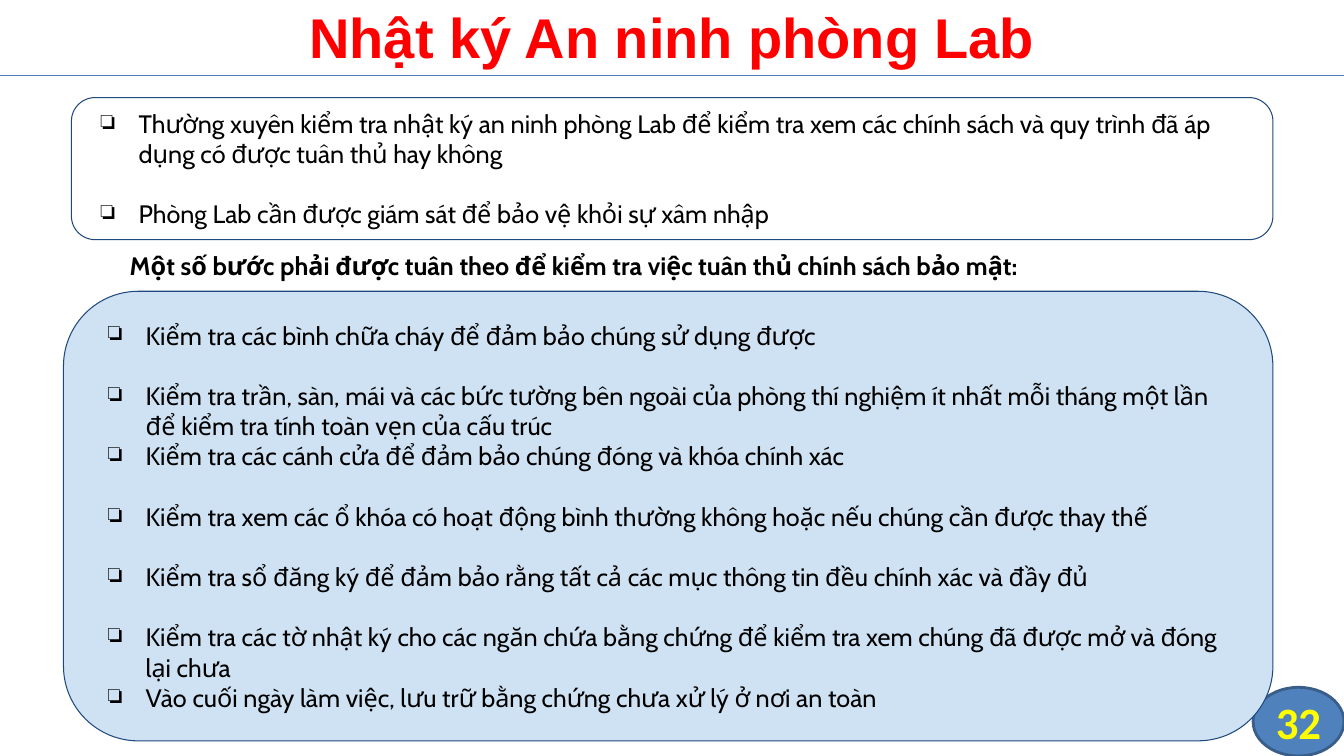
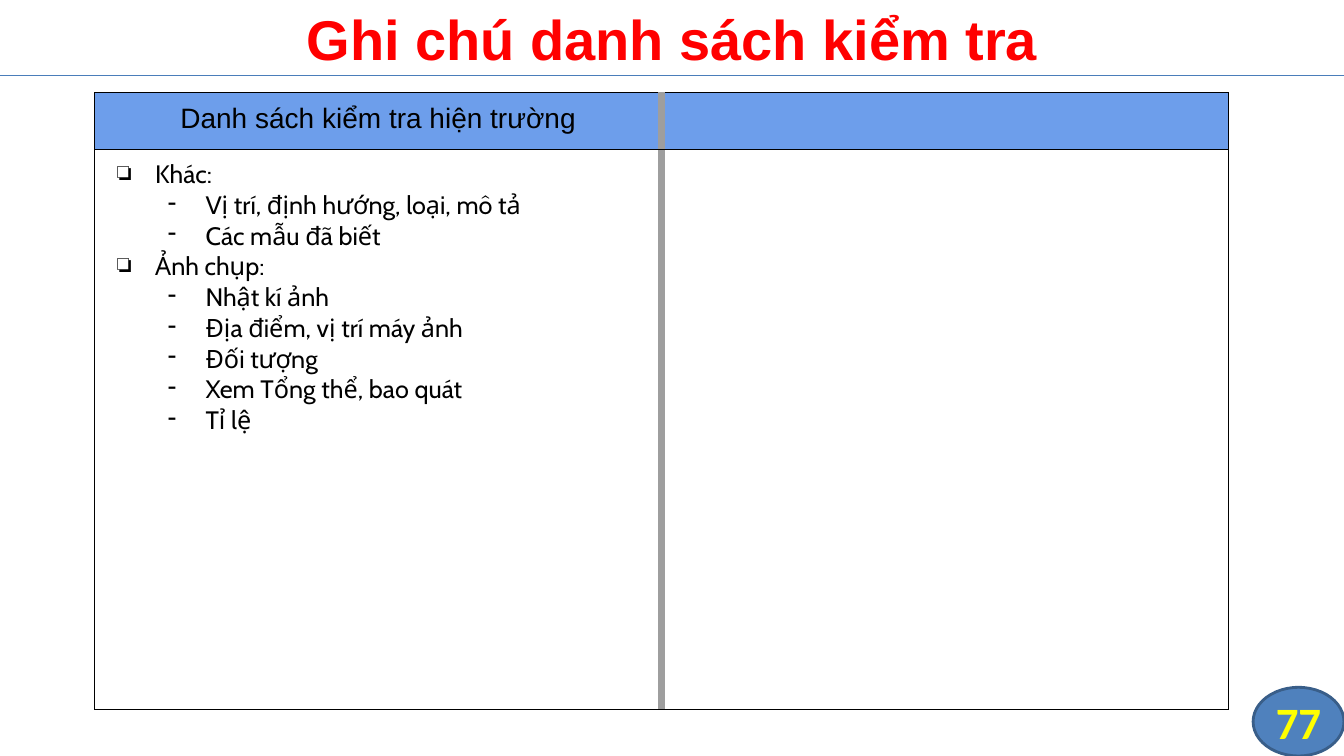
from lxml import etree
from pptx import Presentation
from pptx.dml.color import RGBColor
from pptx.enum.shapes import MSO_CONNECTOR, MSO_SHAPE
from pptx.enum.text import MSO_ANCHOR, PP_ALIGN
from pptx.oxml.ns import qn
from pptx.util import Cm, Pt

LEFT, CENTER = PP_ALIGN.LEFT, PP_ALIGN.CENTER
TOP, MIDDLE = MSO_ANCHOR.TOP, MSO_ANCHOR.MIDDLE
ROUNDED, BADGE = MSO_SHAPE.ROUNDED_RECTANGLE, MSO_SHAPE.FLOWCHART_CONNECTOR
STRAIGHT = MSO_CONNECTOR.STRAIGHT

COLORS = {
    "title": "FF0000",
    "text": "000000",
    "rule": "4A7DBA",
    "badge": "4F81BD",
    "badge_line": "395E89",
    "badge_text": "FFFF00",
    "panel_line": "1F497D",
    "white": "FFFFFF",
    "steps": "CFE2F3",
    "header": "6D9EEB",
    "divider": "9E9E9E",
}
TITLE_FONT, BODY_FONT, NUMBER_FONT = "Arial", "Cabin", "Calibri"
BODY_SIZE = 18
BLANK_LINE = Pt(21.5)
SLIDE_WIDTH, SLIDE_HEIGHT = 33.87, 19.05
RULE_TOP = 1.9
PADDING = 0.25
HANGING = 0.95
INDENTS = {"❏": 1.27, "-": 2.54}

POLICY_ITEMS = [
    ("Thường xuyên kiểm tra nhật ký an ninh phòng Lab để kiểm tra xem các chính sách và quy trình "
     "đã áp dụng có được tuân thủ hay không", False),
    ("Phòng Lab cần được giám sát để bảo vệ khỏi sự xâm nhập", True),
]
STEPS_HEADING = "Một số bước phải được tuân theo để kiểm tra việc tuân thủ chính sách bảo mật:"
STEP_ITEMS = [
    ("Kiểm tra các bình chữa cháy để đảm bảo chúng sử dụng được", False),
    ("Kiểm tra trần, sàn, mái và các bức tường bên ngoài của phòng thí nghiệm ít nhất mỗi tháng "
     "một lần để kiểm tra tính toàn vẹn của cấu trúc", True),
    ("Kiểm tra các cánh cửa để đảm bảo chúng đóng và khóa chính xác", False),
    ("Kiểm tra xem các ổ khóa có hoạt động bình thường không hoặc nếu chúng cần được thay thế", True),
    ("Kiểm tra sổ đăng ký để đảm bảo rằng tất cả các mục thông tin đều chính xác và đầy đủ", True),
    ("Kiểm tra các tờ nhật ký cho các ngăn chứa bằng chứng để kiểm tra xem chúng đã được mở "
     "và đóng lại chưa", True),
    ("Vào cuối ngày làm việc, lưu trữ bằng chứng chưa xử lý ở nơi an toàn", False),
]
CHECKLIST = {
    "Khác:": ["Vị trí, định hướng, loại, mô tả", "Các mẫu đã biết"],
    "Ảnh chụp:": ["Nhật kí ảnh", "Địa điểm, vị trí máy ảnh", "Đối tượng",
                  "Xem Tổng thể, bao quát", "Tỉ lệ"],
}


def color(name):
    return RGBColor.from_string(COLORS[name])


def write(paragraph, text, size=BODY_SIZE, font=BODY_FONT, ink="text", bold=False, align=LEFT):
    paragraph.text = text
    paragraph.alignment = align
    for run in paragraph.runs:
        run.font.size = Pt(size)
        run.font.name = font
        run.font.bold = bold
        run.font.color.rgb = color(ink)


def set_frame(text_frame, anchor, margin):
    text_frame.word_wrap = True
    text_frame.vertical_anchor = anchor
    text_frame.margin_left = text_frame.margin_right = Cm(margin)
    text_frame.margin_top = text_frame.margin_bottom = Cm(margin)


def add_bullet(paragraph, character):
    properties = paragraph._p.get_or_add_pPr()
    properties.set("marL", str(Cm(INDENTS[character])))
    properties.set("indent", str(-Cm(HANGING)))
    bullet_color = etree.SubElement(properties, qn("a:buClr"))
    etree.SubElement(bullet_color, qn("a:srgbClr"), val=COLORS["text"])
    etree.SubElement(properties, qn("a:buChar"), char=character)


def write_bullets(text_frame, items):
    """Write (bullet, text, blank line before) items, one paragraph each."""
    for index, (character, text, spaced) in enumerate(items):
        paragraph = text_frame.add_paragraph() if index else text_frame.paragraphs[0]
        add_bullet(paragraph, character)
        write(paragraph, text)
        if spaced:
            paragraph.space_before = BLANK_LINE


def add_text(slide, box, text, anchor=TOP, margin=PADDING, **style):
    text_frame = slide.shapes.add_textbox(*map(Cm, box)).text_frame
    set_frame(text_frame, anchor, margin)
    write(text_frame.paragraphs[0], text, **style)


def add_filled_shape(slide, kind, box, fill, line, line_width, margin):
    shape = slide.shapes.add_shape(kind, *map(Cm, box))
    shape.shadow.inherit = False
    shape.fill.solid()
    shape.fill.fore_color.rgb = color(fill)
    shape.line.color.rgb = color(line)
    shape.line.width = Pt(line_width)
    set_frame(shape.text_frame, MIDDLE, margin)
    return shape


def add_base_slide(presentation, title, number, title_top):
    """Add a slide with the shared page badge, rule and title."""
    slide = presentation.slides.add_slide(presentation.slide_layouts[6])
    width, height = 2.29, 1.73
    badge_box = (SLIDE_WIDTH - width, SLIDE_HEIGHT - height, width, height)
    badge = add_filled_shape(slide, BADGE, badge_box, "badge", "badge_line", 2, 0)
    write(badge.text_frame.paragraphs[0], str(number), 32, NUMBER_FONT, "badge_text", True, CENTER)

    rule = slide.shapes.add_connector(STRAIGHT, 0, Cm(RULE_TOP), Cm(SLIDE_WIDTH), Cm(RULE_TOP))
    rule.line.color.rgb = color("rule")
    rule.line.width = Pt(0.75)
    etree.SubElement(rule._element.spPr, qn("a:effectLst"))

    add_text(slide, (0, title_top, SLIDE_WIDTH, 1.98), title, MIDDLE, 0.13,
             size=40, font=TITLE_FONT, ink="title", bold=True, align=CENTER)
    return slide


def add_panel(slide, box, fill, items):
    panel = add_filled_shape(slide, ROUNDED, box, fill, "panel_line", 0.75, PADDING)
    write_bullets(panel.text_frame, [("❏", text, spaced) for text, spaced in items])


def set_cell_borders(cell, divider_side):
    properties = cell._tc.get_or_add_tcPr()
    for side in "LRTB":
        name, width = ("divider", 6) if side == divider_side else ("text", 0.75)
        border = etree.SubElement(properties, qn(f"a:ln{side}"), w=str(Pt(width)))
        fill = etree.SubElement(border, qn("a:solidFill"))
        etree.SubElement(fill, qn("a:srgbClr"), val=COLORS[name])


def add_checklist_table(slide, left, top, width, row_heights):
    frame = slide.shapes.add_table(2, 2, Cm(left), Cm(top), Cm(width), Cm(sum(row_heights)))
    table = frame.table
    for column in table.columns:
        column.width = Cm(width / 2)
    for row, height, fill in zip(table.rows, row_heights, ("header", "white")):
        row.height = Cm(height)
        for cell, divider_side in zip(row.cells, "RL"):
            set_cell_borders(cell, divider_side)
            cell.fill.solid()
            cell.fill.fore_color.rgb = color(fill)
            cell.margin_left = cell.margin_right = Cm(PADDING)
            cell.margin_top = cell.margin_bottom = Cm(PADDING)

    write(table.cell(0, 0).text_frame.paragraphs[0], "Danh sách kiểm tra hiện trường",
          20, TITLE_FONT, align=CENTER)
    items = []
    for group, entries in CHECKLIST.items():
        items.append(("❏", group, False))
        items += [("-", entry, False) for entry in entries]
    write_bullets(table.cell(1, 0).text_frame, items)


def build_security_log(presentation):
    slide = add_base_slide(presentation, "Nhật ký An ninh phòng Lab", 32, -0.08)
    add_panel(slide, (1.8, 2.46, 30.28, 3.58), "white", POLICY_ITEMS)
    add_text(slide, (3.02, 6.05, 26.24, 1.27), STEPS_HEADING, bold=True)
    add_panel(slide, (1.6, 7.34, 30.48, 11.33), "steps", STEP_ITEMS)


def build_checklist(presentation):
    slide = add_base_slide(presentation, "Ghi chú danh sách kiểm tra", 77, -0.03)
    add_checklist_table(slide, 2.39, 2.34, 28.57, (1.42, 14.12))


def main():
    presentation = Presentation()
    presentation.slide_width = Cm(SLIDE_WIDTH)
    presentation.slide_height = Cm(SLIDE_HEIGHT)
    build_security_log(presentation)
    build_checklist(presentation)
    presentation.save("out.pptx")


if __name__ == "__main__":
    main()
